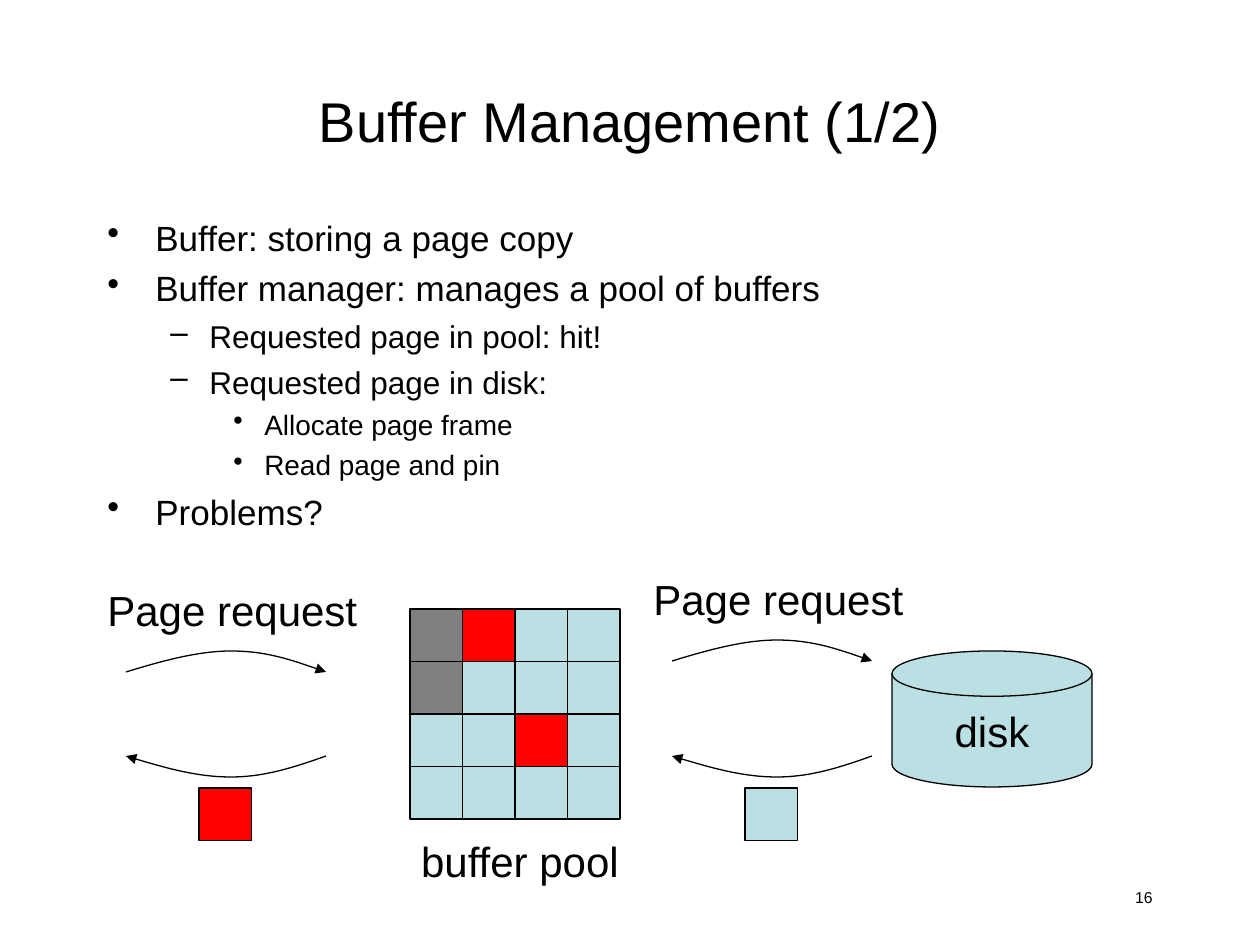
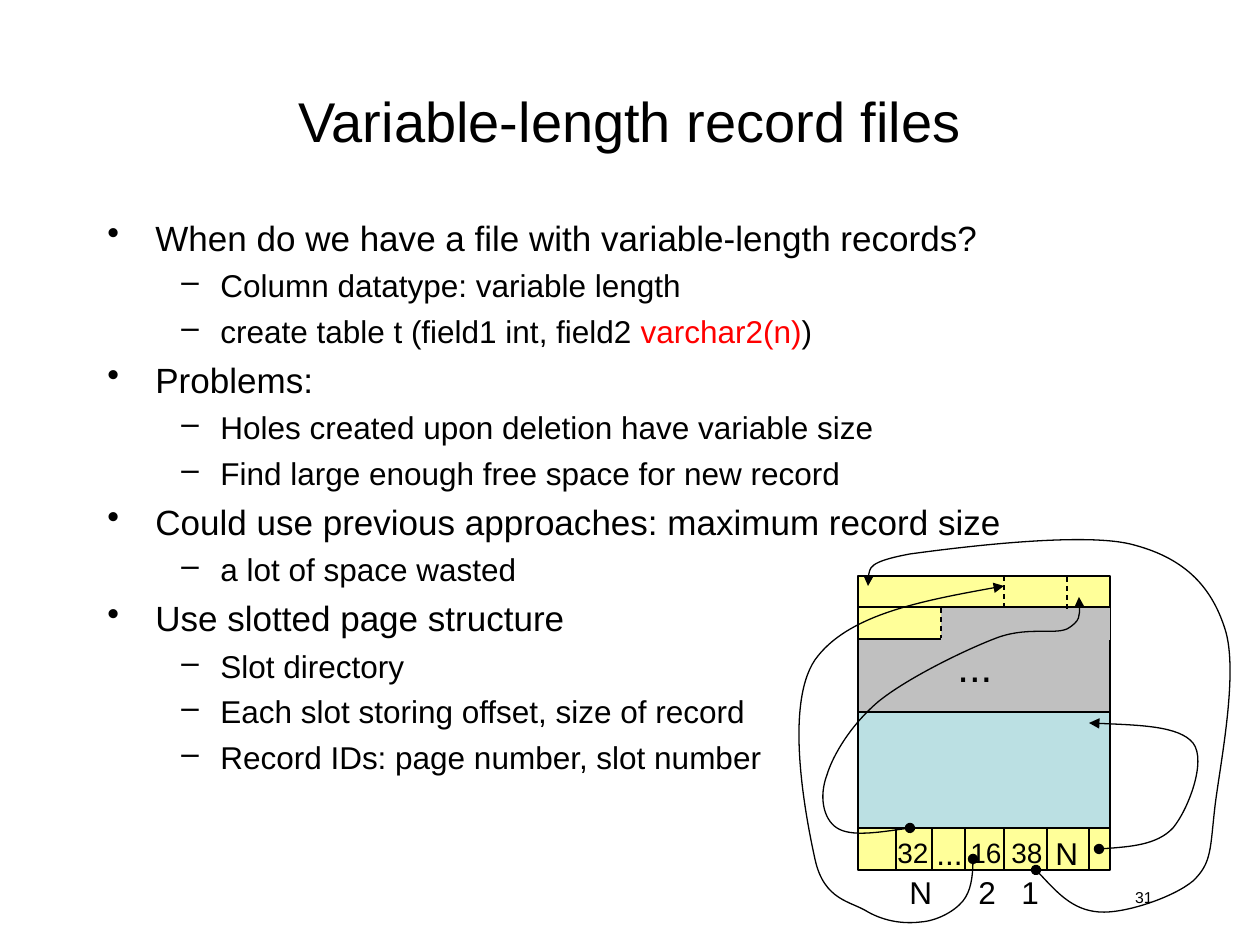
import dataclasses

import lxml.etree
import pptx
import pptx.dml.color
import pptx.enum.dml
import pptx.enum.shapes
import pptx.enum.text
import pptx.oxml
import pptx.oxml.ns
import pptx.util

PX = 914400 / 126
SHAPE = pptx.enum.shapes.MSO_SHAPE
ALIGN = pptx.enum.text.PP_ALIGN
ANCHOR = pptx.enum.text.MSO_ANCHOR


@dataclasses.dataclass(frozen=True)
class Theme:
    font: str = "Arial"
    ink: str = "000000"
    red: str = "FF0000"
    blue: str = "BBE0E3"
    yellow: str = "FFFF99"
    silver: str = "C0C0C0"
    grey: str = "808080"
    line: float = 0.75
    title: int = 32
    label: int = 24
    slot: int = 18
    slot_value: int = 16
    number: int = 9
    bullets: tuple = (20, 18, 16)
    bullet_gap: float = 0.25


THEME = Theme()

TITLE_BOX = (95, 42, 1070, 157)
BODY_BOX = (95, 210, 1070, 651)
NUMBER_BOX = (903, 882, 262, 42)
BULLET_MARKS = "•–•"
BULLET_HANGS = (48, 39, 31)

# Bullets are (level, text); a tuple of texts alternates plain and red.
BUFFER = {
    "title": "Buffer Management (1/2)",
    "number": "16",
    "indents": (48, 102, 157),
    "bullets": [
        (0, "Buffer: storing a page copy"),
        (0, "Buffer manager: manages a pool of buffers"),
        (1, "Requested page in pool: hit!"),
        (1, "Requested page in disk:"),
        (2, "Allocate page frame"),
        (2, "Read page and pin"),
        (0, "Problems?"),
    ],
}
RECORDS = {
    "title": "Variable-length record files",
    "number": "31",
    "indents": (48, 113),
    "bullets": [
        (0, "When do we have a file with variable-length records?"),
        (1, "Column datatype: variable length"),
        (1, ("create table t (field1 int, field2 ", "varchar2(n)", ")")),
        (0, "Problems:"),
        (1, "Holes created upon deletion have variable size"),
        (1, "Find large enough free space for new record"),
        (0, "Could use previous approaches: maximum record size"),
        (1, "a lot of space wasted"),
        (0, "Use slotted page structure"),
        (1, "Slot directory"),
        (1, "Each slot storing offset, size of record"),
        (1, "Record IDs: page number, slot number"),
    ],
}

POOL_LEFT, POOL_TOP, POOL_SIZE = 410, 609, 210
POOL_ROWS = ("grbb", "gbbb", "bbrb", "bbbb")
FRAME_FILLS = {"g": THEME.grey, "r": THEME.red, "b": THEME.blue}
FRAME = POOL_SIZE / len(POOL_ROWS)
POOL_LABEL_BOX = (357, 829, 326, 63)
DISK_BOX = (892, 651, 200, 136)

# left, top of the label, fill of the returned page
EXCHANGES = [(126, 578, THEME.red), (672, 567, THEME.blue)]
ARC = [(0, 21), (36, 10), (72, 0), (105, 0), (139, 0), (169, 10), (200, 21)]
ARC_HEIGHT = 21
REPLY_TOP, REPLY_PAGE_TOP = 756, 788

PAGE_LEFT, PAGE_TOP, PAGE_RIGHT, PAGE_BOTTOM = 858, 576, 1110, 870
PAGE_WIDTH = PAGE_RIGHT - PAGE_LEFT
RECORD_LINE, DIRECTORY_TOP = 607, 828
RECORD_END, FREE_TOP, BLUE_TOP = 941, 639, 712
SLOT_DIVIDERS = (896, 932, 965, 1004, 1047, 1089)
RECORD_DIVIDERS = [(1004, 576), (1067, 577), (RECORD_END, 608)]
RECORD_HEIGHT = 32

# text, left, top, width, height, size
PAGE_LABELS = [
    ("...", 945, 634, 92, 63, THEME.label),
    ("32", 885, 829, 57, 47, THEME.slot_value),
    ("...", 924, 828, 92, 50, THEME.slot),
    ("16", 958, 829, 57, 47, THEME.slot_value),
    ("38", 999, 829, 57, 47, THEME.slot_value),
    ("N", 1043, 828, 48, 50, THEME.slot),
    ("N", 897, 867, 48, 50, THEME.slot),
    ("2", 966, 867, 43, 50, THEME.slot),
    ("1", 1009, 867, 43, 50, THEME.slot),
]
# Each pointer is a start point, then two control points and an end per curve.
POINTERS = [
    [(1099, 849), (1128, 847), (1157, 845), (1173, 828), (1188, 810),
     (1207, 761), (1193, 743), (1179, 726), (1134, 725), (1089, 723)],
    [(1036, 870), (1055, 890), (1072, 910), (1099, 912), (1125, 914),
     (1174, 897), (1193, 881), (1212, 863), (1210, 849), (1215, 806),
     (1220, 765), (1239, 672), (1225, 629), (1211, 585), (1183, 557),
     (1130, 544), (1079, 532), (954, 548), (910, 554), (867, 562),
     (867, 575), (868, 586)],
    [(973, 859), (973, 874), (971, 891), (963, 901), (954, 912),
     (936, 921), (921, 922), (905, 924), (886, 922), (868, 912),
     (851, 901), (824, 901), (815, 859), (806, 818), (784, 706),
     (815, 660), (847, 615), (926, 600), (1004, 586)],
    [(910, 828), (881, 832), (851, 837), (837, 828), (823, 819),
     (819, 796), (827, 775), (833, 755), (851, 725), (878, 702),
     (906, 679), (963, 651), (994, 639), (1026, 626), (1053, 635),
     (1067, 629), (1081, 621), (1080, 609), (1079, 597)],
]


def emu(*lengths):
    return [round(length * PX) for length in lengths]


def rgb(colour):
    return pptx.dml.color.RGBColor.from_string(colour)


def style_font(font, size, colour=THEME.ink):
    font.name, font.size = THEME.font, pptx.util.Pt(size)
    font.color.rgb = rgb(colour)


def style_line(line, colour=THEME.ink):
    line.color.rgb = rgb(colour)
    line.width = pptx.util.Pt(THEME.line)


def write(shape, text, size, align=ALIGN.LEFT, anchor=ANCHOR.TOP, wrap=False):
    frame = shape.text_frame
    frame.word_wrap, frame.vertical_anchor = wrap, anchor
    paragraph = frame.paragraphs[0]
    paragraph.text, paragraph.alignment = text, align
    style_font(paragraph.font, size)


def add_label(slide, text, box, size, **layout):
    write(slide.shapes.add_textbox(*emu(*box)), text, size, **layout)


def add_block(slide, box, fill, kind=SHAPE.RECTANGLE, outlined=True):
    shape = slide.shapes.add_shape(kind, *emu(*box))
    shape.shadow.inherit = False
    shape.fill.solid()
    shape.fill.fore_color.rgb = rgb(fill)
    if outlined:
        style_line(shape.line)
    else:
        shape.line.fill.background()
    return shape


def add_line(slide, start, end, colour=THEME.ink, dashed=False):
    connector = slide.shapes.add_connector(
        pptx.enum.shapes.MSO_CONNECTOR.STRAIGHT, *emu(*start, *end))
    style_line(connector.line, colour)
    if dashed:
        connector.line.dash_style = pptx.enum.dml.MSO_LINE.DASH
    properties = connector._element.spPr
    lxml.etree.SubElement(properties, pptx.oxml.ns.qn("a:effectLst"))


def add_curve(slide, points, head=None, tail=None):
    """Draw Bézier curves through points, with optional line ends."""
    builder = slide.shapes.build_freeform(*points[0], scale=PX)
    builder.add_line_segments(points[1:], close=False)
    shape = builder.convert_to_shape()
    shape.shadow.inherit = False
    shape.fill.background()
    style_line(shape.line)
    qn = pptx.oxml.ns.qn
    segments = list(shape._element.iter(qn("a:lnTo")))
    for first in range(0, len(segments), 3):
        curve = lxml.etree.Element(qn("a:cubicBezTo"))
        segments[first].addprevious(curve)
        for segment in segments[first:first + 3]:
            curve.append(segment[0])
            segment.getparent().remove(segment)
    outline = shape._element.spPr.find(qn("a:ln"))
    for tag, kind in (("a:headEnd", head), ("a:tailEnd", tail)):
        if kind:
            lxml.etree.SubElement(outline, qn(tag), type=kind)


def add_bullets(slide, bullets, indents):
    frame = slide.shapes.add_textbox(*emu(*BODY_BOX)).text_frame
    frame.word_wrap = True
    for index, (level, texts) in enumerate(bullets):
        paragraph = frame.add_paragraph() if index else frame.paragraphs[0]
        size = THEME.bullets[level]
        paragraph.level = level
        paragraph.space_before = pptx.util.Pt(size * THEME.bullet_gap)
        style_font(paragraph.font, size)
        parts = (texts,) if isinstance(texts, str) else texts
        for position, text in enumerate(parts):
            run = paragraph.add_run()
            run.text = text
            if position % 2:
                run.font.color.rgb = rgb(THEME.red)
        properties = paragraph._p.get_or_add_pPr()
        margin, hang = emu(indents[level], BULLET_HANGS[level])
        properties.set("marL", str(margin))
        properties.set("indent", str(-hang))
        mark = pptx.oxml.parse_xml(
            f'<a:buChar {pptx.oxml.ns.nsdecls("a")} char="{BULLET_MARKS[level]}"/>')
        properties.find(pptx.oxml.ns.qn("a:defRPr")).addprevious(mark)


def add_slide(presentation, content):
    slide = presentation.slides.add_slide(presentation.slide_layouts[5])
    title = slide.shapes.title
    title.left, title.top, title.width, title.height = emu(*TITLE_BOX)
    write(title, content["title"], THEME.title, ALIGN.CENTER, ANCHOR.MIDDLE, True)
    add_bullets(slide, content["bullets"], content["indents"])
    add_label(slide, content["number"], NUMBER_BOX, THEME.number,
              align=ALIGN.RIGHT, wrap=True)
    return slide


def draw_buffer_pool(slide):
    for row, fills in enumerate(POOL_ROWS):
        for column, fill in enumerate(fills):
            box = (POOL_LEFT + column * FRAME, POOL_TOP + row * FRAME, FRAME, FRAME)
            add_block(slide, box, FRAME_FILLS[fill])
    centred = {"align": ALIGN.CENTER, "anchor": ANCHOR.MIDDLE}
    add_label(slide, "buffer pool", POOL_LABEL_BOX, THEME.label, **centred)
    disk = add_block(slide, DISK_BOX, THEME.blue, SHAPE.FLOWCHART_MAGNETIC_DISK)
    write(disk, "disk", THEME.label, **centred)


def draw_exchange(slide, left, label_top, page_fill):
    add_label(slide, "Page request", (left - 31, label_top, 275, 63), THEME.label)
    request_top = label_top + 73
    add_curve(slide, [(left + x, request_top + y) for x, y in ARC], tail="triangle")
    add_curve(slide, [(left + x, REPLY_TOP + ARC_HEIGHT - y) for x, y in ARC],
              head="triangle")
    add_block(slide, (left + 73, REPLY_PAGE_TOP, FRAME, FRAME), page_fill)


def draw_slotted_page(slide):
    add_block(slide, (PAGE_LEFT, PAGE_TOP, PAGE_WIDTH, PAGE_BOTTOM - PAGE_TOP),
              THEME.yellow)
    add_block(slide, (RECORD_END, RECORD_LINE, PAGE_RIGHT - RECORD_END, RECORD_HEIGHT),
              THEME.silver, outlined=False)
    add_block(slide, (PAGE_LEFT, FREE_TOP, PAGE_WIDTH, BLUE_TOP - FREE_TOP),
              THEME.silver)
    add_block(slide, (PAGE_LEFT, BLUE_TOP, PAGE_WIDTH, DIRECTORY_TOP - BLUE_TOP),
              THEME.blue)
    for y in (RECORD_LINE, DIRECTORY_TOP, PAGE_BOTTOM):
        add_line(slide, (PAGE_LEFT, y), (PAGE_RIGHT, y))
    for x in SLOT_DIVIDERS:
        add_line(slide, (x, DIRECTORY_TOP), (x, PAGE_BOTTOM))
    for x, top in RECORD_DIVIDERS:
        add_line(slide, (x, top), (x, top + RECORD_HEIGHT), dashed=True)
    add_line(slide, (RECORD_END, FREE_TOP), (PAGE_RIGHT, FREE_TOP), THEME.silver)
    for text, *box, size in PAGE_LABELS:
        add_label(slide, text, box, size)
    for points in POINTERS:
        add_curve(slide, points, head="oval", tail="triangle")


def main():
    presentation = pptx.Presentation()
    presentation.slide_width, presentation.slide_height = emu(1260, 945)
    buffer_slide = add_slide(presentation, BUFFER)
    draw_buffer_pool(buffer_slide)
    for exchange in EXCHANGES:
        draw_exchange(buffer_slide, *exchange)
    draw_slotted_page(add_slide(presentation, RECORDS))
    presentation.save("out.pptx")


if __name__ == "__main__":
    main()
